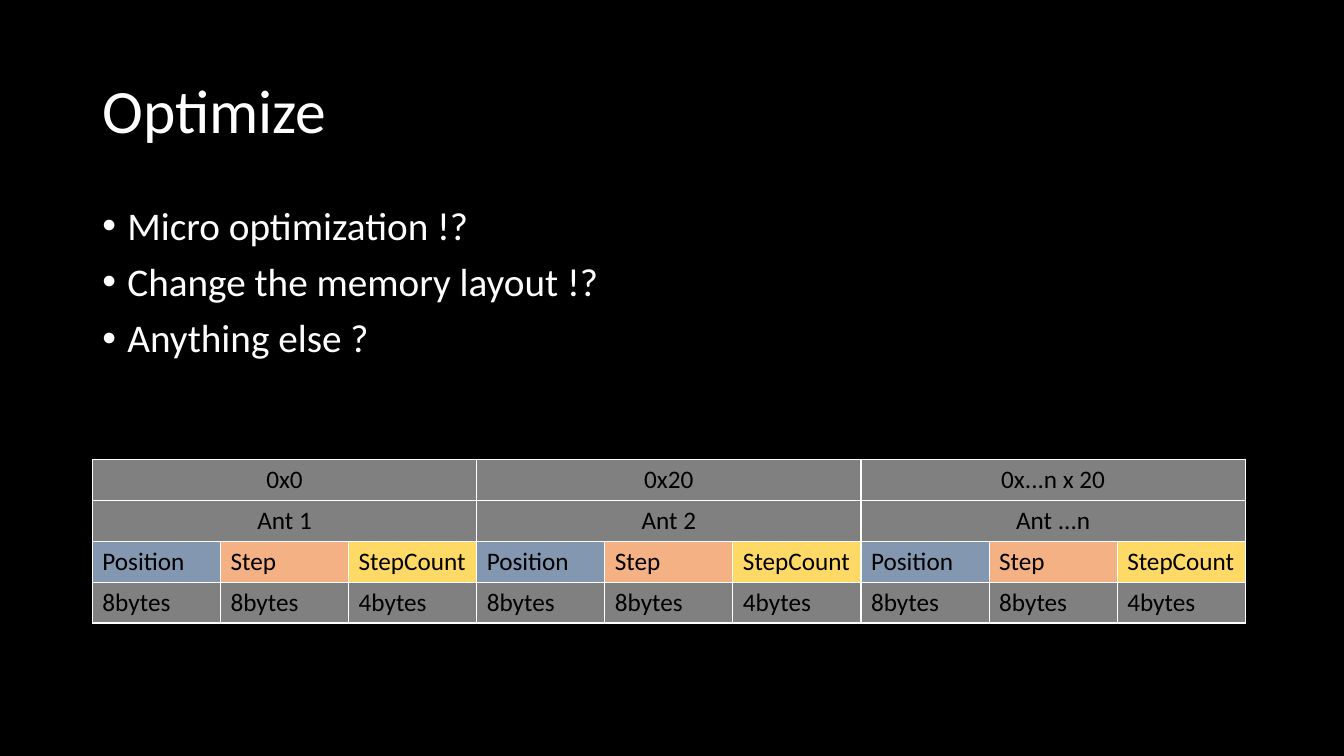
from lxml import etree
from pptx import Presentation
from pptx.dml.color import RGBColor
from pptx.enum.text import MSO_ANCHOR, PP_ALIGN
from pptx.oxml.ns import qn
from pptx.util import Pt

CENTER, LEFT = PP_ALIGN.CENTER, PP_ALIGN.LEFT
TOP, MIDDLE = MSO_ANCHOR.TOP, MSO_ANCHOR.MIDDLE
FONT = "Calibri"
COLORS = {
    "background": "000000",
    "text": "FFFFFF",
    "cell_text": "000000",
    "border": "FFFFFF",
    "gray": "808080",
    "position": "8497B0",
    "step": "F4B183",
    "step_count": "FFD966",
}
ANTS = [("0x0", "Ant 1"), ("0x20", "Ant 2"), ("0x...n x 20", "Ant ...n")]
FIELDS = [
    ("Position", "8bytes", "position"),
    ("Step", "8bytes", "step"),
    ("StepCount", "4bytes", "step_count"),
]


def rgb(color):
    """Return the named colour."""
    return RGBColor.from_string(COLORS[color])


def style_paragraph(paragraph, size, color, align=LEFT):
    """Align a paragraph and format its runs."""
    paragraph.alignment = align
    for run in paragraph.runs:
        run.font.name = FONT
        run.font.size = Pt(size)
        run.font.color.rgb = rgb(color)


def add_text(slide, box, text, size, anchor):
    """Place white text in the box and return its paragraphs."""
    frame = slide.shapes.add_textbox(*map(Pt, box)).text_frame
    frame.word_wrap = True
    frame.vertical_anchor = anchor
    frame.text = text
    for paragraph in frame.paragraphs:
        paragraph.line_spacing = 0.9
        style_paragraph(paragraph, size, "text")
    return frame.paragraphs


def add_ideas(slide, box, ideas):
    """Place the bulleted list of ideas in the box."""
    for paragraph in add_text(slide, box, "\n".join(ideas), 28, TOP):
        paragraph.space_before = Pt(10)
        properties = paragraph._p.get_or_add_pPr()
        properties.set("marL", str(Pt(18)))
        properties.set("indent", str(-Pt(18)))
        etree.SubElement(properties, qn("a:buFont"), typeface="Arial")
        etree.SubElement(properties, qn("a:buChar"), char="•")


def style_cell(cell, fill, align):
    """Give a cell its borders, fill and text format."""
    properties = cell._tc.get_or_add_tcPr()
    for side in ("lnL", "lnR", "lnT", "lnB"):
        line = etree.SubElement(properties, qn(f"a:{side}"), w=str(Pt(1)))
        solid = etree.SubElement(line, qn("a:solidFill"))
        etree.SubElement(solid, qn("a:srgbClr"), val=COLORS["border"])
    cell.fill.solid()
    cell.fill.fore_color.rgb = rgb(fill)
    style_paragraph(cell.text_frame.paragraphs[0], 18, "cell_text", align)


def add_memory_layout(slide, box):
    """Place the table of ants and their fields in the box."""
    span = len(FIELDS)
    columns = span * len(ANTS)
    layout = slide.shapes.add_table(4, columns, *map(Pt, box)).table
    for column in layout.columns:
        column.width = Pt(box[2] / columns)
    for row in layout.rows:
        row.height = Pt(box[3] / 4)
    fills = {}
    for ant, headings in enumerate(ANTS):
        first = ant * span
        for row, heading in enumerate(headings):
            layout.cell(row, first).merge(layout.cell(row, first + span - 1))
            layout.cell(row, first).text = heading
        for column, (name, size, fill) in enumerate(FIELDS, first):
            layout.cell(2, column).text = name
            layout.cell(3, column).text = size
            fills[2, column] = fill
    for row in range(4):
        for column in range(columns):
            fill = fills.get((row, column), "gray")
            style_cell(layout.cell(row, column), fill, CENTER if row < 2 else LEFT)


def build_optimize(slide, box):
    """Build the slide about optimizing the memory layout."""
    left, top, width, height = box
    slide.background.fill.solid()
    slide.background.fill.fore_color.rgb = rgb("background")
    margin = 66
    inner = width - 2 * margin
    add_text(slide, (left + margin, top + 28.75, inner, 104.4), "Optimize", 44, MIDDLE)
    ideas = ["Micro optimization !?", "Change the memory layout !?", "Anything else ?"]
    add_ideas(slide, (left + margin, top + 143.75, inner, 342.6), ideas)
    add_memory_layout(slide, (left + margin, top + 328.2, 823.7, 116.8))


presentation = Presentation()
presentation.slide_width, presentation.slide_height = Pt(960), Pt(540)
build_optimize(
    presentation.slides.add_slide(presentation.slide_layouts[6]), (0, 0, 960, 540)
)
presentation.save("out.pptx")
